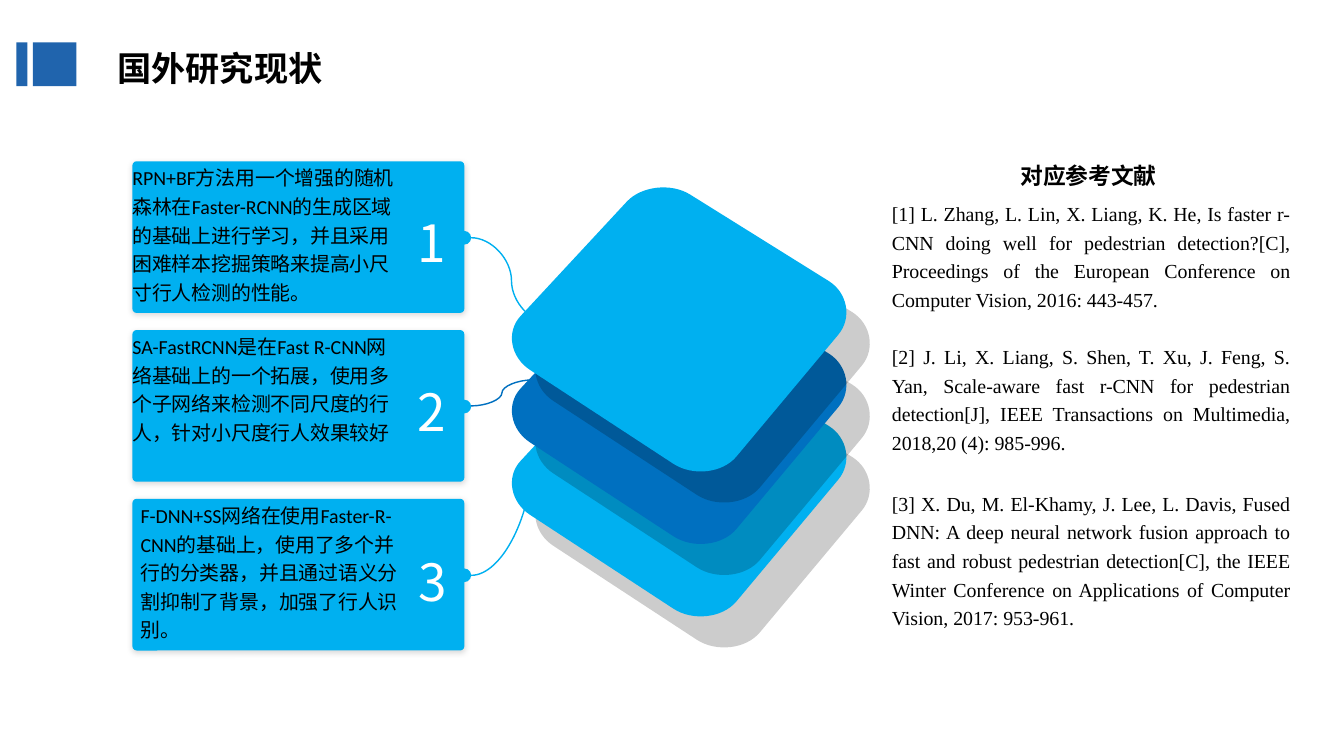
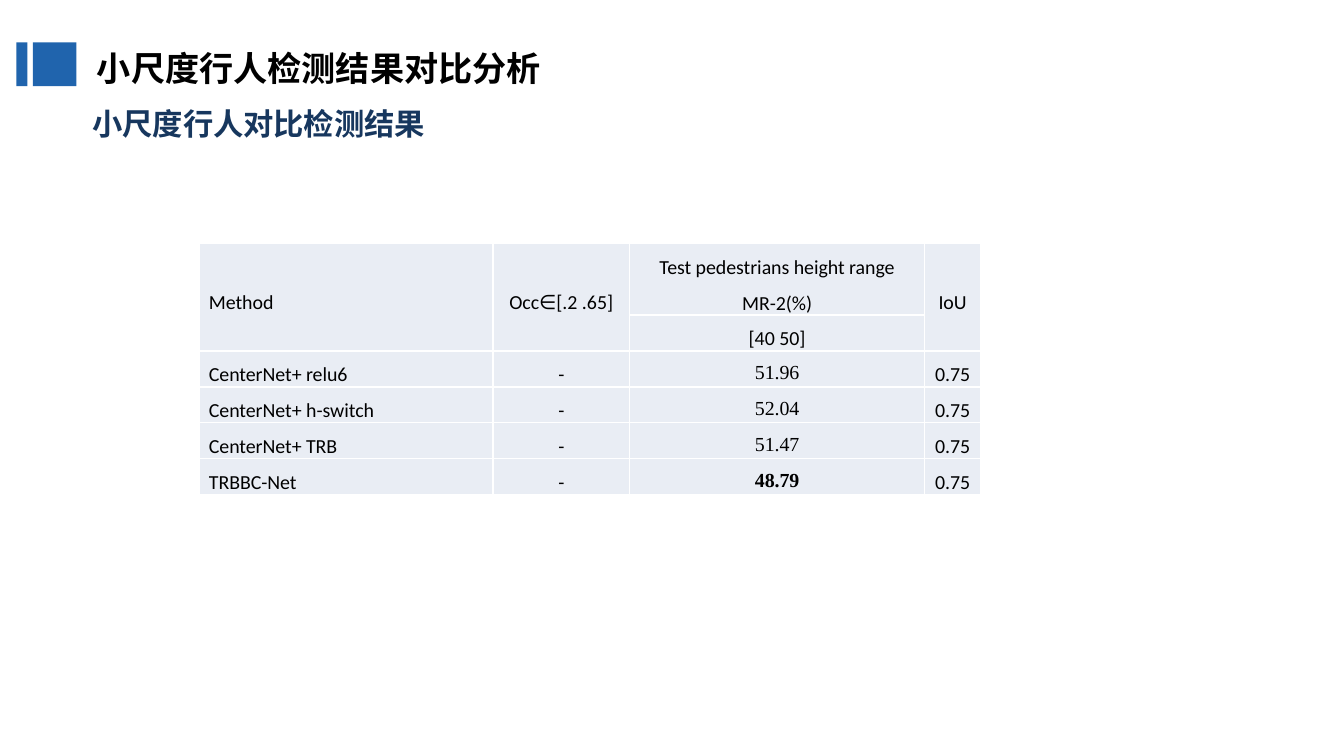
from dataclasses import dataclass

from lxml import etree
from pptx import Presentation
from pptx.dml.color import RGBColor
from pptx.enum.shapes import MSO_CONNECTOR, MSO_SHAPE
from pptx.enum.text import MSO_ANCHOR, PP_ALIGN
from pptx.oxml.ns import qn
from pptx.util import Inches, Pt

LEFT, MID, JUST = PP_ALIGN.LEFT, PP_ALIGN.CENTER, PP_ALIGN.JUSTIFY
TOP, CENTER = MSO_ANCHOR.TOP, MSO_ANCHOR.MIDDLE
RECT, ROUND, OVAL = MSO_SHAPE.RECTANGLE, MSO_SHAPE.ROUNDED_RECTANGLE, MSO_SHAPE.OVAL
CURVE = MSO_CONNECTOR.CURVE


@dataclass(frozen=True)
class Theme:
    """Colours, fonts and type sizes of the deck."""
    sky: str = "00B0F0"
    blue: str = "0070C0"
    bar: str = "2064AD"
    navy: str = "17375E"
    pale: str = "E9EDF4"
    black: str = "000000"
    white: str = "FFFFFF"
    sans: str = "Calibri"
    han: str = "Noto Sans CJK SC"
    serif: str = "Times New Roman"
    title: float = 18
    sub: float = 16
    head: float = 12
    body: float = 10.5
    digit: float = 27


T = Theme()

CARDS = [
    (0.97, 2, "RPN+BF方法用一个增强的随机森林在Faster-RCNN的生成区域的基础上进行学习，并且采用困难样本挖掘策略来提高小尺寸行人检测的性能。"),
    (0.97, 1.9, "SA-FastRCNN是在Fast R-CNN网络基础上的一个拓展，使用多个子网络来检测不同尺度的行人，针对小尺度行人效果较好"),
    (1.03, 1.9, "F-DNN+SS网络在使用Faster-R-CNN的基础上，使用了多个并行的分类器，并且通过语义分割抑制了背景，加强了行人识别。"),
]
DIGITS = [(3, 1.5, 0.33, 0.56), (2.96, 2.73, 0.4, 0.56), (2.97, 3.98, 0.4, 0.56)]
REFS = [
    "[1] L. Zhang, L. Lin, X. Liang, K. He, Is faster r-CNN doing well for pedestrian detection?[C], Proceedings of the European Conference on Computer Vision, 2016: 443-457.",
    "[2] J. Li, X. Liang, S. Shen, T. Xu, J. Feng, S. Yan, Scale-aware fast r-CNN for pedestrian detection[J], IEEE Transactions on Multimedia, 2018,20 (4): 985-996.",
    "[3] X. Du, M. El-Khamy, J. Lee, L. Davis, Fused DNN: A deep neural network fusion approach to fast and robust pedestrian detection[C], the IEEE Winter Conference on Applications of Computer Vision, 2017: 953-961.",
]
ROWS = [
    ("Method", "Occ∈[.2 .65]", "Test pedestrians height range MR-2(%)", "IoU"),
    ("", "", "[40 50]", ""),
    ("CenterNet+ relu6", "-", "51.96", "0.75"),
    ("CenterNet+ h-switch", "-", "52.04", "0.75"),
    ("CenterNet+ TRB", "-", "51.47", "0.75"),
    ("TRBBC-Net", "-", "48.79", "0.75"),
]
TILE = [(4.79, 1.26), (6.33, 2.22), (5.2, 3.57), (3.61, 2.53)]


def rgb(code):
    """Turn a hex code into a colour."""
    return RGBColor.from_string(code)


def write(frame, *texts, size=T.body, font=T.sans, color=T.black, bold=False,
          align=LEFT, line=1.2, gaps=(0,)):
    """Write paragraphs into a text frame in one format."""
    for i, text in enumerate(texts):
        para = frame.add_paragraph() if i else frame.paragraphs[0]
        para.alignment, para.line_spacing = align, line
        para.space_before = Pt(gaps[i])
        run = para.add_run()
        run.text = text
        face = run.font
        face.name, face.size, face.bold = font, Pt(size), bold
        face.color.rgb = rgb(color)
        east = etree.SubElement(run._r.get_or_add_rPr(), qn("a:ea"))
        east.set("typeface", T.han)


def fit(frame, pad=0.0, wrap=True):
    """Set the insets, anchor and wrapping of a text frame."""
    frame.margin_left = frame.margin_right = Inches(pad)
    frame.margin_top = frame.margin_bottom = Inches(pad / 2)
    frame.vertical_anchor = TOP
    frame.word_wrap = wrap


def label(slide, box, *texts, **form):
    """Add a text box."""
    frame = slide.shapes.add_textbox(*map(Inches, box)).text_frame
    fit(frame)
    write(frame, *texts, **form)


def paint(shape, color):
    """Give a shape a plain fill with no line or shadow."""
    shape.shadow.inherit = False
    shape.fill.solid()
    shape.fill.fore_color.rgb = rgb(color)
    shape.line.fill.background()
    return shape


def block(slide, kind, box, color):
    """Add a plain preset shape."""
    return paint(slide.shapes.add_shape(kind, *map(Inches, box)), color)


def shade(shape, blur, dist, angle, alpha):
    """Add a black outer shadow, with lengths in points and alpha in percent."""
    effect = shape._element.spPr.find(qn("a:effectLst"))
    outer = etree.SubElement(effect, qn("a:outerShdw"), blurRad=str(Pt(blur)),
                             dist=str(Pt(dist)), dir=str(angle * 60000),
                             algn="ctr", rotWithShape="0")
    tint = etree.SubElement(outer, qn("a:srgbClr"), val=T.black)
    etree.SubElement(tint, qn("a:alpha"), val=str(alpha * 1000))


def bend(corner, prior, after):
    """Return the four curve points that round one corner."""
    return [tuple(c + part * (n - c) for c, n in zip(corner, near))
            for near, part in ((prior, 0.17), (prior, 0.08),
                               (after, 0.08), (after, 0.17))]


def tile(slide, drop, color):
    """Add one slanted tile of the stack."""
    points = []
    for i, corner in enumerate(TILE):
        points += bend(corner, TILE[i - 1], TILE[(i + 1) % len(TILE)])
    spots = [(Inches(x), Inches(y + drop)) for x, y in points]
    pen = slide.shapes.build_freeform(*spots[0])
    pen.add_line_segments(spots[1:], close=True)
    shape = pen.convert_to_shape()
    lines = list(shape._element.iter(qn("a:lnTo")))
    for i in range(0, 4 * len(TILE), 4):
        curve = etree.Element(qn("a:cubicBezTo"))
        lines[i].addprevious(curve)
        for step in lines[i:i + 3]:
            curve.append(step[0])
            step.getparent().remove(step)
    shade(paint(shape, color), 0, 20.5, 53, 20)


def wire(slide, start, end, color, kind="curvedConnector3"):
    """Add a curved connector."""
    link = slide.shapes.add_connector(CURVE, *map(Inches, start + end))
    link.line.color.rgb = rgb(color)
    link.line.width = Pt(0.75)
    form = link._element.spPr
    form.find(qn("a:prstGeom")).set("prst", kind)
    etree.SubElement(form, qn("a:effectLst"))


def card(slide, num, top):
    """Add a numbered card with its dot."""
    plate = block(slide, ROUND, (0.97, top, 2.43, 1.11), T.sky)
    plate.adjustments[0] = 0.027
    shade(plate, 3, 1, 90, 15)
    block(slide, OVAL, (3.35, top + 0.51, 0.1, 0.1), T.sky)
    digit = block(slide, RECT, DIGITS[num - 1], T.sky)
    fit(digit.text_frame, 0.1, False)
    write(digit.text_frame, str(num), size=T.digit, font=T.han,
          color=T.white, align=MID, line=1)


def page(deck, title, box, font):
    """Add a slide with its side bars and title."""
    slide = deck.slides.add_slide(deck.slide_layouts[5])
    for left, width in ((0.24, 0.32), (0.12, 0.08)):
        block(slide, RECT, (left, 0.31, width, 0.32), T.bar)
    head = slide.shapes.title
    head.left, head.top, head.width, head.height = map(Inches, box)
    fit(head.text_frame)
    write(head.text_frame, title, size=T.title, font=font, bold=True, align=MID)
    return slide


def edge(cell):
    """Draw white borders around a table cell."""
    props = cell._tc.get_or_add_tcPr()
    for side in ("lnL", "lnR", "lnT", "lnB"):
        line = etree.SubElement(props, qn("a:" + side), w=str(Pt(1)))
        fill = etree.SubElement(line, qn("a:solidFill"))
        etree.SubElement(fill, qn("a:srgbClr"), val=T.white)


def grid(slide, left, top, wide, high):
    """Add the table of results."""
    box = map(Inches, (left, top, sum(wide), sum(high)))
    table = slide.shapes.add_table(len(high), len(wide), *box).table
    table.first_row = table.horz_banding = False
    for col, width in zip(table.columns, wide):
        col.width = Inches(width)
    for row, height in zip(table.rows, high):
        row.height = Inches(height)
    for r, row in enumerate(ROWS):
        for c, text in enumerate(row):
            cell = table.cell(r, c)
            edge(cell)
            cell.fill.solid()
            cell.fill.fore_color.rgb = rgb(T.pale)
            cell.margin_left = cell.margin_right = Inches(0.07)
            cell.margin_top = cell.margin_bottom = 0
            cell.vertical_anchor = CENTER if r == 0 and c != 2 else TOP
            score = r > 1 and c == 2
            if text:
                write(cell.text_frame, text, line=1.5,
                      align=MID if c else JUST,
                      font=T.serif if score else T.sans,
                      bold=score and r == len(ROWS) - 1)
    for c in (0, 1, 3):
        table.cell(0, c).merge(table.cell(1, c))


def review(deck):
    """Build the slide on research abroad."""
    slide = page(deck, "国外研究现状", (0.35, 0.29, 2.52, 0.33), T.han)
    for i, color in enumerate((T.sky, T.blue, T.sky)):
        tile(slide, 0.53 * (2 - i), color)
    tops = [1.18 + 1.235 * i for i in range(len(CARDS))]
    for i, top in enumerate(tops):
        card(slide, i + 1, top)
    wire(slide, (4.04, 2.37), (3.45, 1.74), T.sky)
    wire(slide, (3.9, 2.78), (3.45, 2.97), T.blue)
    wire(slide, (3.45, 4.21), (3.9, 3.32), T.sky, "curvedConnector2")
    label(slide, (6.53, 1.44, 2.92, 3.39), *REFS,
          font=T.serif, align=JUST, gaps=(0, 15, 17))
    label(slide, (7.47, 1.14, 1.05, 0.22), "对应参考文献",
          size=T.head, font=T.han, bold=True)
    for top, (left, width, text) in zip(tops, CARDS):
        label(slide, (left, top, width, 1.04), text)


def result(deck):
    """Build the slide of compared results."""
    slide = page(deck, "小尺度行人检测结果对比分析", (0.61, 0.29, 3.45, 0.33), T.sans)
    label(slide, (0.59, 0.72, 2.61, 0.3), "小尺度行人对比检测结果",
          size=T.sub, font=T.han, color=T.navy, bold=True, align=MID)
    grid(slide, 1.46, 1.78, (2.15, 1, 2.16, 0.41), (0.52,) + (0.26,) * 5)


def main():
    """Build and save the deck."""
    deck = Presentation()
    deck.slide_width, deck.slide_height = Inches(9.84), Inches(5.51)
    review(deck)
    result(deck)
    deck.save("out.pptx")


if __name__ == "__main__":
    main()
